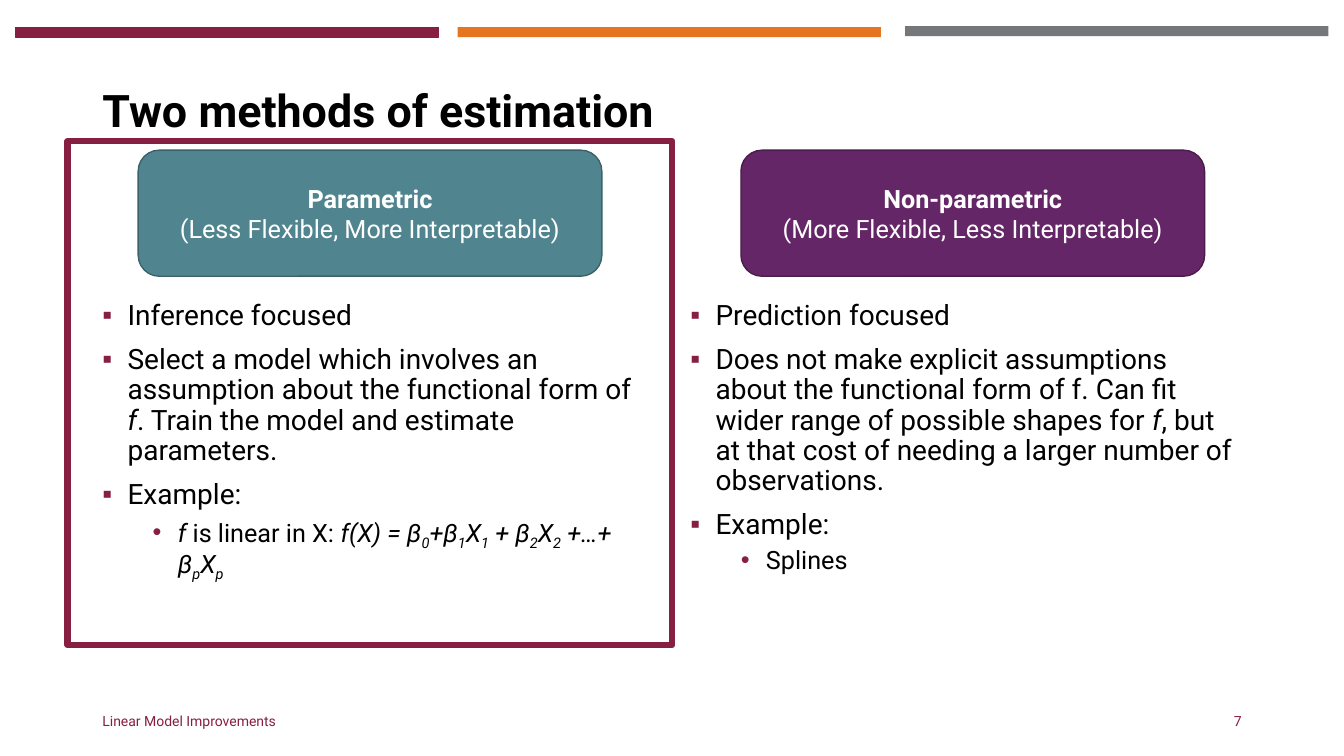
from dataclasses import dataclass

import pptx
import pptx.dml.color
import pptx.enum.shapes
import pptx.enum.text
import pptx.oxml
import pptx.oxml.ns
import pptx.util
from lxml import etree

SHAPE = pptx.enum.shapes.MSO_SHAPE
ALIGN = pptx.enum.text.PP_ALIGN
ANCHOR = pptx.enum.text.MSO_ANCHOR


@dataclass(frozen=True)
class Theme:
    font: str = "Roboto"
    text: str = "000000"
    white: str = "FFFFFF"
    maroon: str = "861F41"
    orange: str = "E5751F"
    gray: str = "75787B"
    teal: str = "508590"
    teal_edge: str = "3B626B"
    purple: str = "642667"
    purple_edge: str = "4A1C4C"
    title_size: int = 32
    body_size: int = 20
    detail_size: int = 18
    footer_size: int = 10


@dataclass(frozen=True)
class Area:
    """A rectangle in percent of the slide's width and height."""
    x: float
    y: float
    w: float
    h: float


@dataclass(frozen=True)
class Run:
    text: str
    italic: bool = False
    baseline: int = 0


@dataclass(frozen=True)
class Bullet:
    runs: list[Run]
    level: int = 0


@dataclass(frozen=True)
class Bar:
    x: float
    y: float
    color: str
    edge: str | None = None


@dataclass(frozen=True)
class Method:
    name: str
    trait: str
    card_x: float
    body_x: float
    fill: str
    edge: str
    bullets: list[Bullet]


THEME = Theme()
MARGIN = 6.88
RIGHT = 93.13
WIDTH, HEIGHT = pptx.util.Inches(13.33), pptx.util.Inches(7.5)


def formula(*parts: str) -> list[Run]:
    """Italic runs in which every second part is a subscript."""
    return [Run(part, True, -25000 if i % 2 else 0) for i, part in enumerate(parts)]


BARS = [
    Bar(1.13, 3.6, THEME.maroon, THEME.maroon),
    Bar(67.35, 3.47, THEME.gray),
    Bar(34.05, 3.6, THEME.orange),
]

METHODS = [
    Method("Parametric", "(Less Flexible, More Interpretable)", 10.28, MARGIN,
           THEME.teal, THEME.teal_edge, [
               Bullet([Run("Inference focused")]),
               Bullet([Run("Select a model which involves an assumption about the functional form of "),
                       Run("f", True), Run(". Train the model and estimate parameters.")]),
               Bullet([Run("Example:")]),
               Bullet([Run("f ", True), Run("is linear in X: "),
                       *formula("f(X) = β", "0", "+β", "1", "X", "1", " + β", "2", "X", "2",
                                " +…+ β", "p", "X", "p")], 1),
           ]),
    Method("Non-parametric", "(More Flexible, Less Interpretable)", 55.13, 50.63,
           THEME.purple, THEME.purple_edge, [
               Bullet([Run("Prediction focused")]),
               Bullet([Run("Does not make explicit assumptions about the functional form of f. "
                           "Can fit wider range of possible shapes for "),
                       Run("f", True),
                       Run(", but at that cost of needing a larger number of observations.")]),
               Bullet([Run("Example:")]),
               Bullet([Run("Splines")], 1),
           ]),
]


def rgb(color: str) -> pptx.dml.color.RGBColor:
    return pptx.dml.color.RGBColor.from_string(color)


def place(area: Area) -> tuple[int, int, int, int]:
    return (round(WIDTH * area.x / 100), round(HEIGHT * area.y / 100),
            round(WIDTH * area.w / 100), round(HEIGHT * area.h / 100))


def add_text(p, text: str, *, size: int, color: str = THEME.text, bold: bool = False,
             italic: bool = False, baseline: int = 0) -> None:
    r = p.add_run()
    r.text = text
    r.font.name = THEME.font
    r.font.size = pptx.util.Pt(size)
    r.font.color.rgb = rgb(color)
    r.font.bold = bold
    r.font.italic = italic
    if baseline:
        r._r.get_or_add_rPr().set("baseline", str(baseline))


def add_box(slide, area: Area, anchor=ANCHOR.MIDDLE):
    tf = slide.shapes.add_textbox(*place(area)).text_frame
    tf.word_wrap = True
    tf.vertical_anchor = anchor
    return tf


def add_shape(slide, kind, area: Area, fill: str | None = None,
              edge: str | None = None, edge_width: float = 1):
    sp = slide.shapes.add_shape(kind, *place(area))
    sp.shadow.inherit = False
    if fill:
        sp.fill.solid()
        sp.fill.fore_color.rgb = rgb(fill)
    else:
        sp.fill.background()
    if edge:
        sp.line.color.rgb = rgb(edge)
        sp.line.width = pptx.util.Pt(edge_width)
    else:
        sp.line.fill.background()
    return sp


def set_bullet(p, level: int) -> None:
    pPr = p._p.get_or_add_pPr()
    pPr.set("marL", str(pptx.util.Inches((0.25, 0.75)[level])))
    pPr.set("indent", str(pptx.util.Inches(-0.25)))
    color = etree.SubElement(pPr, pptx.oxml.ns.qn("a:buClr"))
    etree.SubElement(color, pptx.oxml.ns.qn("a:srgbClr")).set("val", THEME.maroon)
    etree.SubElement(pPr, pptx.oxml.ns.qn("a:buFont")).set("typeface", "Arial")
    etree.SubElement(pPr, pptx.oxml.ns.qn("a:buChar")).set("char", "▪•"[level])


def add_bullets(slide, method: Method) -> None:
    tf = add_box(slide, Area(method.body_x, 39.2, 42.5, 50.93), ANCHOR.TOP)
    for i, bullet in enumerate(method.bullets):
        p = tf.add_paragraph() if i else tf.paragraphs[0]
        p.level = bullet.level
        set_bullet(p, bullet.level)
        p.line_spacing = 0.9
        if i:
            p.space_before = pptx.util.Pt((10, 5)[bullet.level])
        size = (THEME.body_size, THEME.detail_size)[bullet.level]
        for run in bullet.runs:
            add_text(p, run.text, size=size, italic=run.italic, baseline=run.baseline)


def add_card(slide, method: Method) -> None:
    sp = add_shape(slide, SHAPE.ROUNDED_RECTANGLE, Area(method.card_x, 19.87, 34.5, 16.67),
                   method.fill, method.edge)
    tf = sp.text_frame
    tf.word_wrap = True
    tf.vertical_anchor = ANCHOR.MIDDLE
    for p, text, bold in ((tf.paragraphs[0], method.name, True),
                          (tf.add_paragraph(), method.trait, False)):
        p.alignment = ALIGN.CENTER
        add_text(p, text, size=THEME.detail_size, color=THEME.white, bold=bold)


def add_footer(slide, text: str, x: float, width: float, align) -> None:
    p = add_box(slide, Area(x, 92.67, width, 5.33)).paragraphs[0]
    p.alignment = align
    add_text(p, text, size=THEME.footer_size, color=THEME.maroon)


def main() -> None:
    prs = pptx.Presentation()
    prs.slide_width, prs.slide_height = WIDTH, HEIGHT
    slide = prs.slides.add_slide(prs.slide_layouts[6])
    for bar in BARS:
        add_shape(slide, SHAPE.RECTANGLE, Area(bar.x, bar.y, 31.5, 1.33), bar.color, bar.edge, 0.75)
    p = add_box(slide, Area(MARGIN, 5.33, RIGHT - MARGIN, 19.33)).paragraphs[0]
    p.line_spacing = 0.9
    add_text(p, "Two methods of estimation", size=THEME.title_size, bold=True)
    for method in METHODS:
        add_bullets(slide, method)
        add_card(slide, method)
    add_footer(slide, "Linear Model Improvements", MARGIN, 33.75, ALIGN.LEFT)
    add_footer(slide, "7", RIGHT - 22.5, 22.5, ALIGN.RIGHT)
    add_shape(slide, SHAPE.RECTANGLE, Area(5.03, 18.67, 45, 66.67), edge=THEME.maroon, edge_width=4.5)
    prs.save("out.pptx")


if __name__ == "__main__":
    main()
